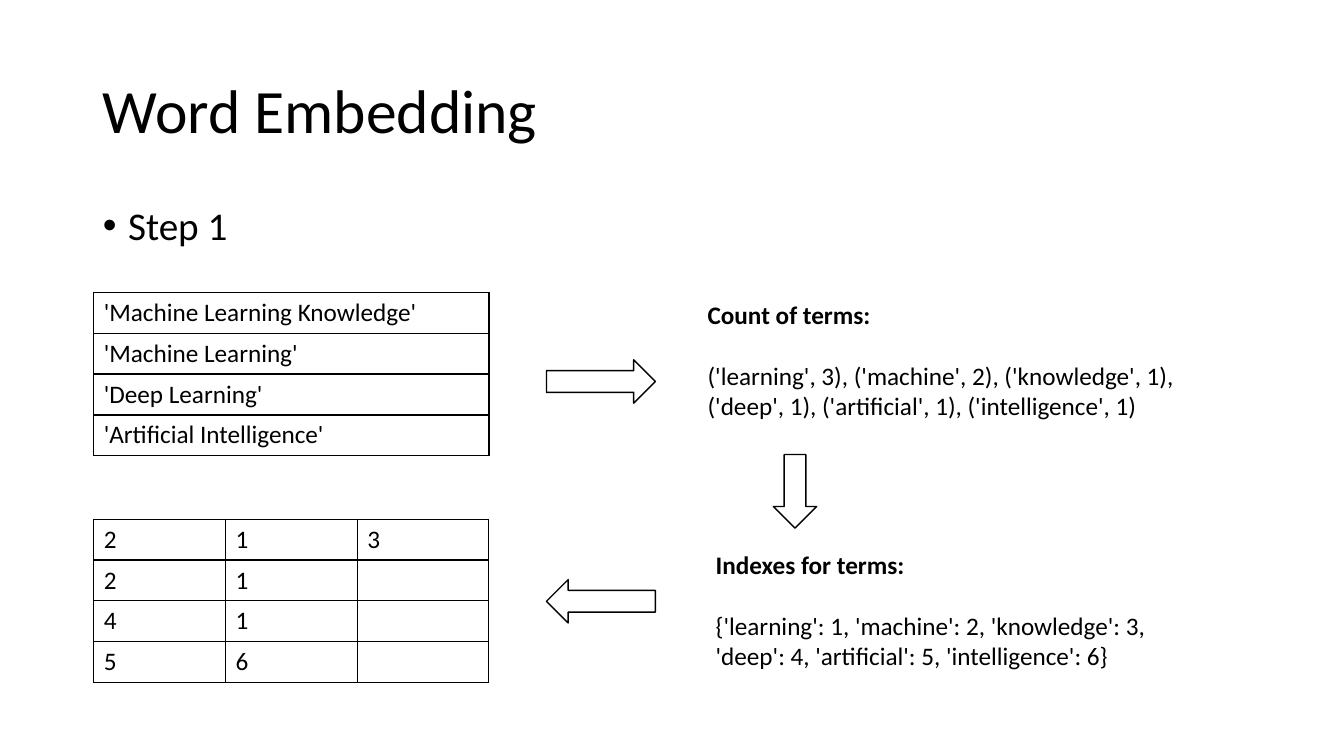
"""Build the Word Embedding slide, which shows how terms are counted and indexed."""
from dataclasses import dataclass

import lxml.etree
import pptx
import pptx.dml.color
import pptx.enum.shapes
import pptx.enum.text
import pptx.oxml
import pptx.oxml.ns
import pptx.slide
import pptx.text.text
import pptx.util

Inches = pptx.util.Inches
BLACK = pptx.dml.color.RGBColor(0x00, 0x00, 0x00)
WHITE = pptx.dml.color.RGBColor(0xFF, 0xFF, 0xFF)
FONT = "Calibri"
TABLE_LEFT = 0.93
TABLE_WIDTH = 3.92
ROW_HEIGHT = 0.405


@dataclass(frozen=True)
class Grid:
    top: float
    rows: list[list[str]]


@dataclass(frozen=True)
class Note:
    left: float
    top: float
    width: float
    heading: str
    detail: str


@dataclass(frozen=True)
class Arrow:
    left: float
    top: float
    width: float
    rotation: int


GRIDS = [
    Grid(2.9, [["'Machine Learning Knowledge'"], ["'Machine Learning'"],
               ["'Deep Learning'"], ["'Artificial Intelligence'"]]),
    Grid(5.15, [["2", "1", "3"], ["2", "1", ""], ["4", "1", ""], ["5", "6", ""]]),
]
NOTES = [
    Note(6.92, 2.92, 5, "Count of terms:",
         "('learning', 3), ('machine', 2), ('knowledge', 1), "
         "('deep', 1), ('artificial', 1), ('intelligence', 1)"),
    Note(7, 5.4, 4.5, "Indexes for terms:",
         "{'learning': 1, 'machine': 2, 'knowledge': 3, "
         "'deep': 4, 'artificial': 5, 'intelligence': 6}"),
]
ARROWS = [Arrow(5.42, 3.57, 1.08, 0), Arrow(7.52, 4.66, 0.73, 90), Arrow(5.42, 5.75, 1.08, 180)]


def format_paragraph(para: pptx.text.text._Paragraph, size: int, bold: bool = False) -> None:
    """Set the font of a whole paragraph."""
    para.font.name = FONT
    para.font.size = pptx.util.Pt(size)
    para.font.bold = bold
    para.font.color.rgb = BLACK


def fill_placeholder(page: pptx.slide.Slide, index: int, text: str, top: float,
                     height: float, size: int) -> pptx.text.text._Paragraph:
    """Move a placeholder, write its text and return the paragraph."""
    box = page.placeholders[index]
    box.left, box.top = Inches(0.92), Inches(top)
    box.width, box.height = Inches(11.5), Inches(height)
    box.text_frame.text = text
    box.text_frame.auto_size = pptx.enum.text.MSO_AUTO_SIZE.NONE
    para = box.text_frame.paragraphs[0]
    para.alignment = pptx.enum.text.PP_ALIGN.LEFT
    para.line_spacing = 0.9
    format_paragraph(para, size)
    return para


def add_borders(cell) -> None:
    """Draw a thin black line on each side of a table cell."""
    properties = cell._tc.get_or_add_tcPr()
    for position, side in enumerate(("lnL", "lnR", "lnT", "lnB")):
        line = pptx.oxml.parse_xml(
            f'<a:{side} {pptx.oxml.ns.nsdecls("a")} w="12700"><a:solidFill>'
            f'<a:srgbClr val="{BLACK}"/></a:solidFill></a:{side}>')
        properties.insert(position, line)


def add_grid(page: pptx.slide.Slide, grid: Grid) -> None:
    """Add a bordered table without style bands."""
    row_count, column_count = len(grid.rows), len(grid.rows[0])
    table = page.shapes.add_table(
        row_count, column_count, Inches(TABLE_LEFT), Inches(grid.top),
        Inches(TABLE_WIDTH), Inches(ROW_HEIGHT * row_count)).table
    table.first_row = table.horz_banding = False
    for row, texts in enumerate(grid.rows):
        for column, text in enumerate(texts):
            cell = table.cell(row, column)
            cell.text = text
            cell.fill.background()
            format_paragraph(cell.text_frame.paragraphs[0], 18)
            add_borders(cell)


def add_note(page: pptx.slide.Slide, note: Note) -> None:
    """Add a bold heading with its detail below."""
    box = page.shapes.add_textbox(
        Inches(note.left), Inches(note.top), Inches(note.width), Inches(1.31))
    box.text_frame.word_wrap = True
    heading = box.text_frame.paragraphs[0]
    heading.text = note.heading
    heading.space_after = pptx.util.Pt(22)
    format_paragraph(heading, 18, bold=True)
    detail = box.text_frame.add_paragraph()
    detail.text = note.detail
    format_paragraph(detail, 18)


def add_arrow(page: pptx.slide.Slide, arrow: Arrow) -> None:
    """Add a white block arrow with a black outline."""
    shape = page.shapes.add_shape(
        pptx.enum.shapes.MSO_SHAPE.RIGHT_ARROW, Inches(arrow.left), Inches(arrow.top),
        Inches(arrow.width), Inches(0.43))
    shape.rotation = arrow.rotation
    shape.shadow.inherit = False
    shape.fill.solid()
    shape.fill.fore_color.rgb = WHITE
    shape.line.color.rgb = BLACK
    shape.line.width = pptx.util.Pt(1)


def main() -> None:
    """Build and save the deck."""
    deck = pptx.Presentation()
    deck.slide_width, deck.slide_height = Inches(13.33), Inches(7.5)
    page = deck.slides.add_slide(deck.slide_layouts[1])
    fill_placeholder(page, 0, "Word Embedding", 0.4, 1.45, 44)
    step = fill_placeholder(page, 1, "Step 1", 2, 4.76, 28)
    step.space_before = pptx.util.Pt(10)
    properties = step._p.get_or_add_pPr()
    properties.set("marL", str(Inches(0.25)))
    properties.set("indent", str(Inches(-0.25)))
    bullet = lxml.etree.Element(pptx.oxml.ns.qn("a:buChar"), char="•")
    properties.find(pptx.oxml.ns.qn("a:defRPr")).addprevious(bullet)
    for grid in GRIDS:
        add_grid(page, grid)
    for note in NOTES:
        add_note(page, note)
    for arrow in ARROWS:
        add_arrow(page, arrow)
    deck.save("out.pptx")


if __name__ == "__main__":
    main()
